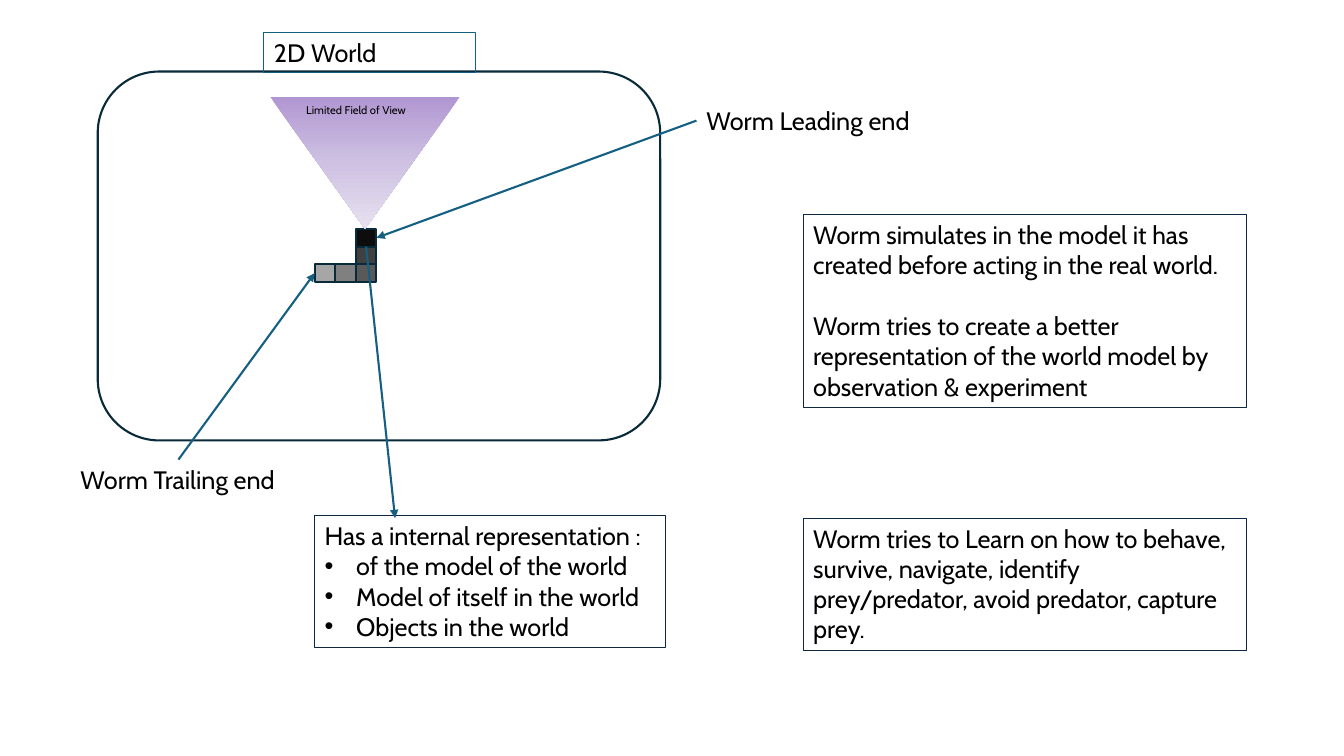
from copy import deepcopy

from lxml.etree import SubElement
from pptx import Presentation
from pptx.dml.color import RGBColor
from pptx.enum.shapes import MSO_CONNECTOR, MSO_SHAPE
from pptx.enum.text import MSO_AUTO_SIZE
from pptx.oxml.ns import qn
from pptx.util import Pt

FONT = "Cabin"
BLACK = RGBColor(0, 0, 0)
INK = RGBColor(0x09, 0x2A, 0x39)
NAVY = RGBColor(0x0E, 0x28, 0x41)
TEAL = RGBColor(0x15, 0x60, 0x82)
VIEW = [(0, RGBColor(0xB1, 0x97, 0xD2)),
        (0.5, RGBColor(0xCE, 0xC1, 0xE2)),
        (1, RGBColor(0xE7, 0xE1, 0xF0))]

WORLD = (69.8, 51.1, 401.8, 263.5)
CONE = (193, 69.1, 135.4, 94.3)
# Worm cells from tail to head: column, row, grey level
WORM = [(0, 2, 0xA6), (1, 2, 0x80), (2, 2, 0x59), (2, 1, 0x40), (2, 0, 0x0D)]
LEFT, TOP, CELL_W, CELL_H = 224.8, 163.6, 14.7, 12.6

# Name: box, paragraphs, size, border, wrap
TEXTS = {
    "title": ((188.6, 23, 151.2, 29.1), ["2D World"], 18, TEAL, True),
    "lead": ((497.5, 71.6, 160.6, 29.1), ["Worm Leading end"], 18, None, False),
    "trail": ((50.4, 328.3, 154.1, 29.1), ["Worm Trailing end"], 18, None, False),
    "view": ((211.7, 70.6, 86.4, 17), ["Limited Field of View"], 8, None, False),
    "inner": ((224.8, 368.2, 250.6, 94.5), [
        "Has a internal representation :",
        "of the model of the world",
        "Model of itself in the world",
        "Objects in the world"], 18, NAVY, False),
    "model": ((573.8, 153.2, 316.8, 138.2), [
        "Worm simulates in the model it has created before acting in the real world.",
        "Worm tries to create a better representation of the world model by "
        "observation & experiment"], 18, NAVY, True),
    "learn": ((573.8, 370.1, 316.8, 94.5), [
        "Worm tries to Learn on how to behave, survive, navigate, identify "
        "prey/predator, avoid predator, capture prey."], 18, NAVY, True),
}

deck = Presentation()
deck.slide_width, deck.slide_height = Pt(960), Pt(540)
slide = deck.slides.add_slide(deck.slide_layouts[6])


def pts(nums):
    return [Pt(n) for n in nums]


def add_form(kind, box):
    form = slide.shapes.add_shape(kind, *pts(box))
    form.shadow.inherit = False
    form.line.color.rgb = INK
    form.line.width = Pt(1.5)
    return form


def add_text(box, lines, size, edge, wrap):
    form = slide.shapes.add_textbox(*pts(box))
    if edge:
        form.line.color.rgb = edge
        form.line.width = Pt(0.75)
    frame = form.text_frame
    frame.text = "\n".join(lines)
    frame.word_wrap = wrap
    frame.auto_size = MSO_AUTO_SIZE.SHAPE_TO_FIT_TEXT
    for para in frame.paragraphs:
        for run in para.runs:
            run.font.name = FONT
            run.font.size = Pt(size)
            run.font.color.rgb = BLACK
    return form


def add_bullet(para):
    props = para._p.get_or_add_pPr()
    props.set("marL", str(Pt(22.5)))
    props.set("indent", str(-Pt(22.5)))
    SubElement(props, qn("a:buFont"), typeface="Arial")
    SubElement(props, qn("a:buChar"), char="•")


def add_arrow(start, end):
    """Draw an arrow; each end is a (shape, site) pair or an (x, y) point."""
    arrow = slide.shapes.add_connector(MSO_CONNECTOR.STRAIGHT, 0, 0, 0, 0)
    arrow.begin_connect(*start)
    if isinstance(end[0], (int, float)):
        arrow.end_x, arrow.end_y = pts(end)
    else:
        arrow.end_connect(*end)
    arrow.line.color.rgb = TEAL
    arrow.line.width = Pt(1.5)
    SubElement(arrow.line._get_or_add_ln(), qn("a:tailEnd"), type="triangle")
    SubElement(arrow._element.spPr, qn("a:effectLst"))


add_form(MSO_SHAPE.ROUNDED_RECTANGLE, WORLD).fill.background()

cells = []
for col, row, grey in WORM:
    cell = add_form(MSO_SHAPE.RECTANGLE,
                    (LEFT + col * CELL_W, TOP + row * CELL_H, CELL_W, CELL_H))
    cell.fill.solid()
    cell.fill.fore_color.rgb = RGBColor(grey, grey, grey)
    cells.append(cell)
tail, neck, head = cells[0], cells[-2], cells[-1]

cone = add_form(MSO_SHAPE.FLOWCHART_MERGE, CONE)
cone.line.fill.background()
cone.fill.gradient()
cone.fill.gradient_angle = 270
first = cone.fill.gradient_stops[0]._gs
first.addnext(deepcopy(first))
for stop, (place, tint) in zip(cone.fill.gradient_stops, VIEW):
    stop.position = place
    stop.color.rgb = tint

texts = {name: add_text(*parts) for name, parts in TEXTS.items()}
for para in texts["inner"].text_frame.paragraphs[1:]:
    add_bullet(para)
texts["model"].text_frame.paragraphs[1].space_before = Pt(21.8)

add_arrow((texts["lead"], 1), (head, 3))
add_arrow((texts["trail"], 0), (tail, 1))
add_arrow((neck, 0), (282.2, 370.1))

deck.save("out.pptx")
